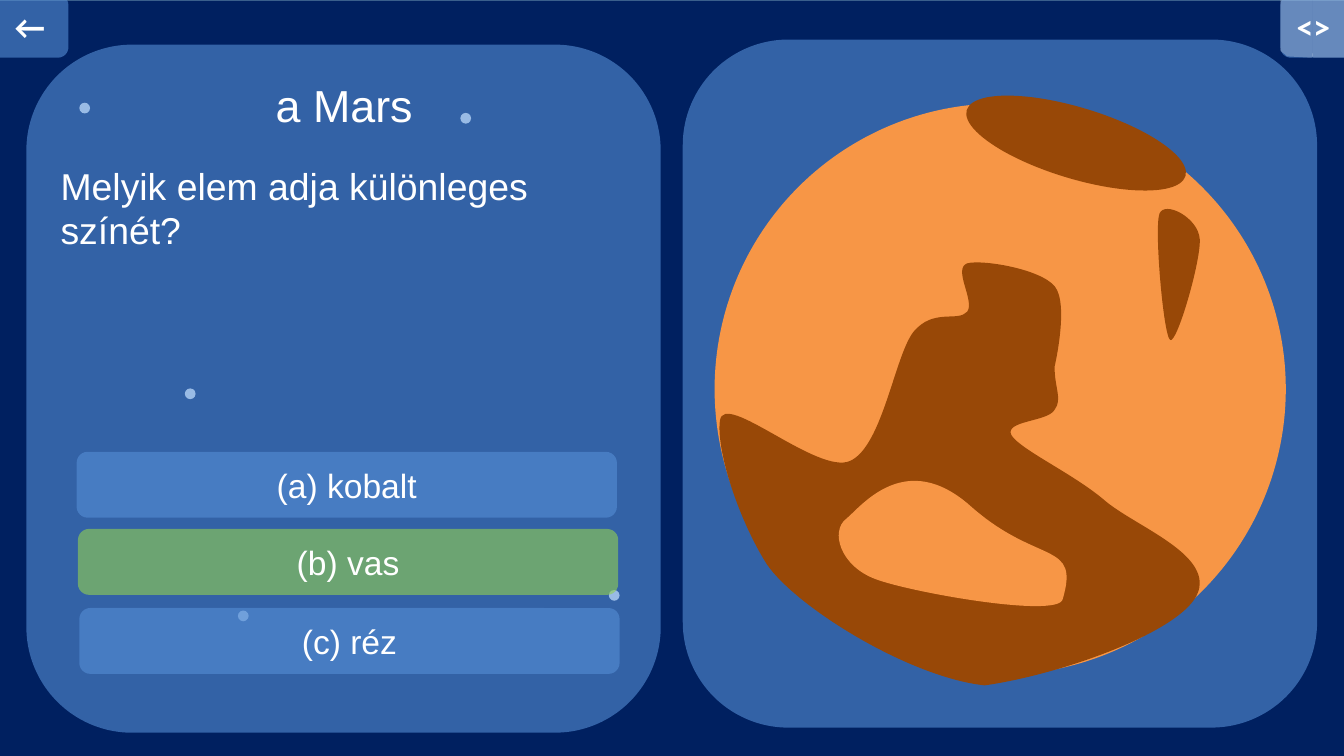
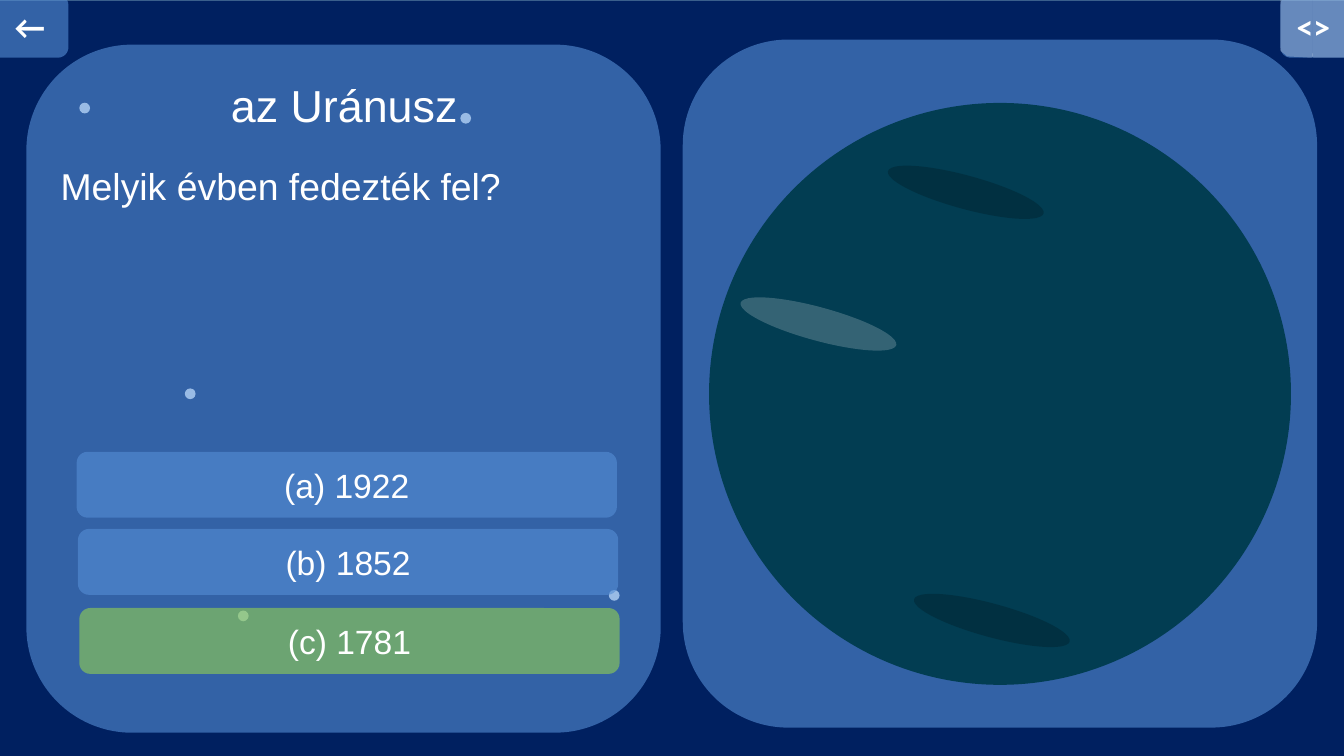
from dataclasses import dataclass

from lxml.etree import SubElement
from pptx import Presentation
from pptx.dml.color import RGBColor
from pptx.enum.shapes import MSO_SHAPE as SHAPE
from pptx.enum.text import MSO_ANCHOR as ANCHOR, MSO_AUTO_SIZE as AUTO, PP_ALIGN as ALIGN
from pptx.oxml.ns import qn
from pptx.util import Inches, Pt


@dataclass(frozen=True)
class Theme:
    night: str = "002060"
    edge: str = "3A5F8C"
    panel: str = "558ED5"
    correct: str = "92D050"
    white: str = "FFFFFF"
    black: str = "000000"
    mars: str = "F79646"
    mars_dark: str = "984807"
    uranus: str = "023D52"
    panel_alpha: int = 60
    tile_alpha: int = 25
    spot_alpha: int = 20
    font: str = "Arial"
    nav_font: str = "Calibri"
    title: int = 24
    question: int = 20
    label: int = 18


T = Theme()


@dataclass(frozen=True)
class Box:
    """A region with its own grid of columns and rows."""
    x: float
    y: float
    w: float
    h: float
    cols: float
    rows: float

    def point(self, col, row):
        return round(self.x + col * self.w / self.cols), round(self.y + row * self.h / self.rows)

    def sub(self, col, row, cols, rows):
        x, y = self.point(col, row)
        return Box(x, y, cols * self.w / self.cols, rows * self.h / self.rows, cols, rows)

    @property
    def frame(self):
        return round(self.x), round(self.y), round(self.w), round(self.h)


# Places on the slide grid (100 columns to the inch)
SLIDE = Box(0, 0, Inches(10), Inches(10 * 9 / 16), 1000, 562.5)
BACKDROP = SLIDE.sub(-2, -1, 1004, 565)
QUIZ = SLIDE.sub(19.6, 33.2, 472, 512)
VIEW = SLIDE.sub(508, 29.4, 472, 512)
BACK = SLIDE.sub(-12, -4, 63, 47)
CODE = SLIDE.sub(952.7, -4, 63, 47)
STARS = [(453, 439), (342.5, 84), (137.5, 289), (177, 454.3), (59, 76.4)]
ANSWERS = [(37.4, 303), (38.4, 360.4), (39.4, 419.2)]

# Outlines: a start point, then lines (2 numbers) or curves (6 numbers)
TILES = [
    [(0, 4), (3, 1, 2, 3, 4, 0), (22, 0), (25, 0, 24, 1, 24, 4), (24, 43),
     (24, 45, 25, 47, 23, 47), (5, 46), (3, 44, 4, 45, 0, 42), (0, 4)],
    [(24, 4), (24, 2, 23, 0, 25, 0), (47, 0), (50, 0, 52, 2, 52, 4), (52, 42),
     (52, 45, 53, 47, 50, 47), (25, 47), (23, 47, 24, 45, 24, 42), (24, 4)],
]
MARS_SLIVER = [(339, 176), (344, 179, 362, 117, 361, 101), (360, 85, 335, 72, 331, 82),
               (327, 93, 334, 173, 339, 176)]
MARS_LAND = [
    (4, 236), (7, 213, 77, 277, 101, 266), (125, 255, 134, 188, 148, 170),
    (163, 152, 181, 163, 188, 155), (194, 147, 177, 123, 188, 119),
    (199, 116, 242, 123, 253, 136), (264, 149, 253, 196, 253, 196),
    (253, 212, 259, 220, 253, 228), (248, 237, 215, 236, 221, 247),
    (228, 258, 268, 276, 291, 296), (314, 315, 369, 335, 360, 363),
    (351, 392, 258, 425, 201, 433), (145, 427, 61, 375, 39, 343),
    (18, 310, 1, 258, 4, 236)]
MARS_BASIN = [(98, 309), (109, 300, 142, 256, 191, 300), (241, 344, 272, 325, 259, 369),
              (255, 383, 147, 364, 120, 354), (93, 344, 86, 318, 98, 309)]


# Basic parts
def paint(sp, color, alpha=100):
    sp.shadow.inherit = False
    sp.line.fill.background()
    sp.fill.solid()
    sp.fill.fore_color.rgb = RGBColor.from_string(color)
    if alpha < 100:
        clr = sp.fill._xPr.find(qn("a:solidFill"))[0]
        SubElement(clr, qn("a:alpha")).set("val", str(alpha * 1000))
    return sp


def add_shape(shapes, kind, box, color, alpha=100, rotation=0):
    sp = paint(shapes.add_shape(kind, *box.frame), color, alpha)
    sp.rotation = rotation
    return sp


def write(sp, text, size, align=ALIGN.CENTER, font=T.font, bold=False):
    tf = sp.text_frame
    tf.word_wrap = True
    p = tf.paragraphs[0]
    p.text = text
    p.alignment = align
    f = p.runs[0].font
    f.name, f.size, f.bold = font, Pt(size), bold
    f.color.rgb = RGBColor.from_string(T.white)
    return tf


def add_text(shapes, box, text, size, align):
    tf = write(shapes.add_textbox(*box.frame), text, size, align)
    tf.auto_size = AUTO.SHAPE_TO_FIT_TEXT


def add_button(shapes, box, text, color=T.panel, **style):
    sp = add_shape(shapes, SHAPE.ROUNDED_RECTANGLE, box, color, T.panel_alpha)
    write(sp, text, T.label, **style).vertical_anchor = ANCHOR.MIDDLE


def add_outline(shapes, box, outline, color, alpha=100):
    """Join the anchor points by lines, then bend those that are curves."""
    anchors = [box.point(*seg[-2:]) for seg in outline]
    builder = shapes.build_freeform(*anchors[0], scale=1.0)
    builder.add_line_segments(anchors[1:], close=True)
    sp = builder.convert_to_shape()
    left, top = (min(values) for values in zip(*anchors))
    for line, seg in zip(list(sp._element.iter(qn("a:lnTo"))), outline[1:]):
        if len(seg) == 6:
            line.tag = qn("a:cubicBezTo")
            line.clear()
            for col, row in zip(seg[::2], seg[1::2]):
                x, y = box.point(col, row)
                pt = SubElement(line, qn("a:pt"))
                pt.set("x", str(x - left))
                pt.set("y", str(y - top))
    return paint(sp, color, alpha)


# Regions
def draw_sky(s, box):
    sky = add_shape(s.shapes, SHAPE.RECTANGLE, BACKDROP, T.night)
    sky.line.color.rgb = RGBColor.from_string(T.edge)
    sky.line.width = Pt(2)
    for col, row in STARS:
        add_shape(s.shapes, SHAPE.OVAL, box.sub(col, row, 8, 8), T.white)


def draw_quiz(s, box, title, question, answers, correct):
    add_shape(s.shapes, SHAPE.ROUNDED_RECTANGLE, box, T.panel, T.panel_alpha)
    add_text(s.shapes, box.sub(71, 20, 331, 50), title, T.title, ALIGN.CENTER)
    add_text(s.shapes, box.sub(15.6, 83, 441, 77), question, T.question, ALIGN.LEFT)
    for letter, answer, (col, row) in zip("abc", answers, ANSWERS):
        color = T.correct if letter == correct else T.panel
        add_button(s.shapes, box.sub(col, row, 402, 49), f"({letter}) {answer}", color)


def draw_mars(shapes, box):
    globe = box.sub(23.7, 47.6, 425, 425)
    add_shape(shapes, SHAPE.OVAL, globe, T.mars)
    add_shape(shapes, SHAPE.OVAL, globe.sub(184, 3, 170, 53), T.mars_dark, rotation=16.8)
    add_outline(shapes, globe, MARS_SLIVER, T.mars_dark)
    add_outline(shapes, globe, MARS_LAND, T.mars_dark)
    add_outline(shapes, globe, MARS_BASIN, T.mars)


def draw_uranus(shapes, box):
    globe = box.sub(19.6, 47.2, 433, 433)
    add_shape(shapes, SHAPE.OVAL, globe, T.uranus)
    for col, row, color in [(21.4, 152, T.white), (150.4, 372.6, T.black), (131, 54, T.black)]:
        add_shape(shapes, SHAPE.OVAL, globe.sub(col, row, 120, 25), color, T.spot_alpha, 15.2)


def draw_view(s, box, draw_planet):
    add_shape(s.shapes, SHAPE.ROUNDED_RECTANGLE, box, T.panel, T.panel_alpha)
    draw_planet(s.shapes.add_group_shape().shapes, box)


def draw_back_button(s, box):
    add_button(s.shapes, box, " ←", font=T.nav_font, bold=True)


def draw_code_button(s, box):
    shapes = s.shapes.add_group_shape().shapes
    add_button(shapes, box, "<>", align=ALIGN.LEFT, font=T.nav_font, bold=True)
    for tile in TILES:
        add_outline(shapes, box, tile, T.white, T.tile_alpha)


def add_quiz_slide(prs, title, question, answers, correct, draw_planet):
    s = prs.slides.add_slide(prs.slide_layouts[6])
    draw_sky(s, SLIDE)
    draw_quiz(s, QUIZ, title, question, answers, correct)
    draw_back_button(s, BACK)
    draw_view(s, VIEW, draw_planet)
    draw_code_button(s, CODE)


def main():
    prs = Presentation()
    prs.slide_width, prs.slide_height = SLIDE.frame[2:]
    add_quiz_slide(prs, "a Mars", "Melyik elem adja különleges színét?",
                   ["kobalt", "vas", "réz"], "b", draw_mars)
    add_quiz_slide(prs, "az Uránusz", "Melyik évben fedezték fel?",
                   ["1922", "1852", "1781"], "c", draw_uranus)
    prs.save("out.pptx")


if __name__ == "__main__":
    main()
